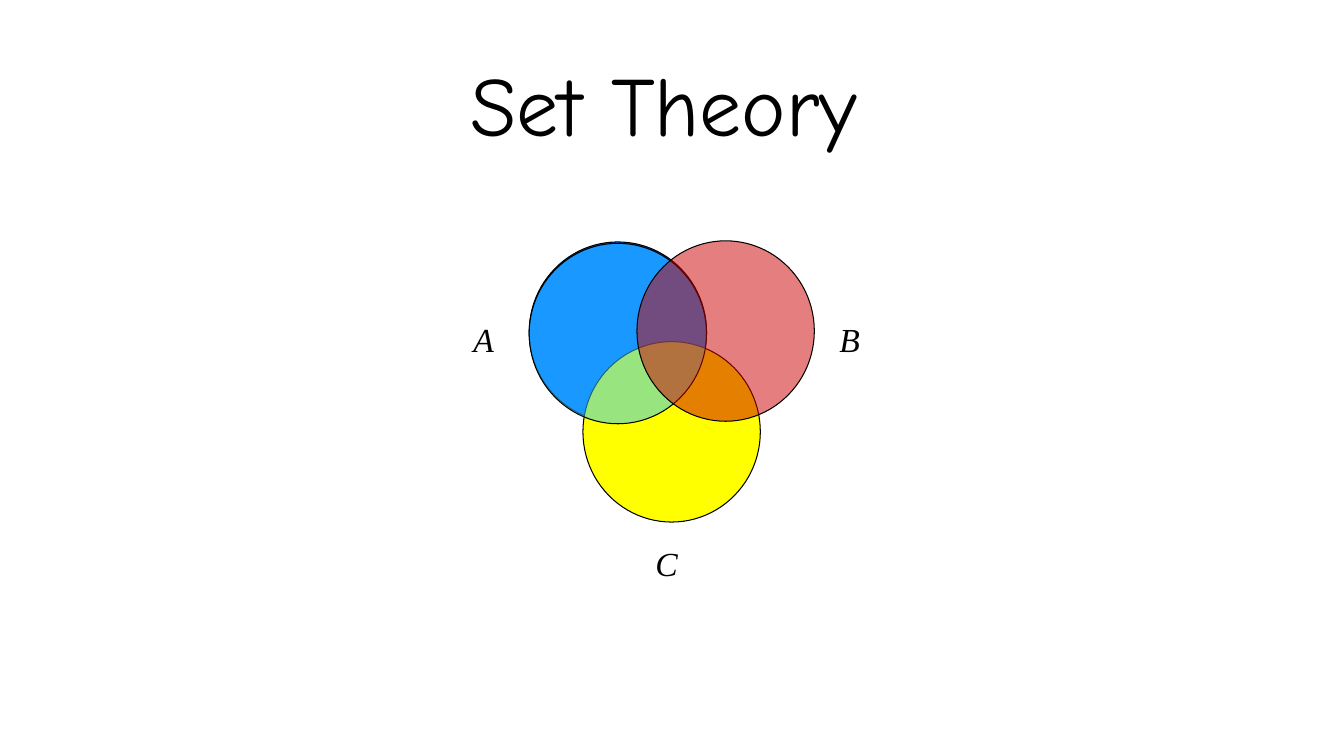
import lxml.etree
import pptx
import pptx.dml.color
import pptx.enum.shapes
import pptx.enum.text
import pptx.oxml.ns
import pptx.util

Pt = pptx.util.Pt
CIRCLE_WIDTH, CIRCLE_HEIGHT = 126.7, 128.9


def color(hex_value):
    """Turn a hex string into a colour."""
    return pptx.dml.color.RGBColor.from_string(hex_value)


def add_text(page, text, left, top, width, height, font_name, size):
    """Add a one-line black text box and return its text frame."""
    box = page.shapes.add_textbox(Pt(left), Pt(top), Pt(width), Pt(height))
    frame = box.text_frame
    frame.text = text
    font = frame.paragraphs[0].runs[0].font
    font.name = font_name
    font.size = Pt(size)
    font.color.rgb = color("000000")
    return frame


def add_title(page, text):
    """Add the centred title, resting on the bottom of its box."""
    frame = add_text(page, text, 138.2, 41.8, 672, 72, "Comic Neue", 60)
    frame.word_wrap = True
    frame.vertical_anchor = pptx.enum.text.MSO_ANCHOR.BOTTOM
    para = frame.paragraphs[0]
    para.alignment = pptx.enum.text.PP_ALIGN.CENTER
    para.line_spacing = 0.9


def add_set_label(page, text, left, top):
    """Add the italic letter that names a set."""
    frame = add_text(page, text, left, top, 29, 36, "Times New Roman", 24)
    frame.word_wrap = False
    frame.paragraphs[0].runs[0].font.italic = True


def add_circle(page, left, top, fill, opacity=100):
    """Add one outlined circle of the Venn diagram."""
    circle = page.shapes.add_shape(
        pptx.enum.shapes.MSO_SHAPE.OVAL,
        Pt(left), Pt(top), Pt(CIRCLE_WIDTH), Pt(CIRCLE_HEIGHT))
    circle.shadow.inherit = False
    circle.fill.solid()
    circle.fill.fore_color.rgb = color(fill)
    circle.line.color.rgb = color("000000")
    circle.line.width = Pt(0.75)
    if opacity < 100:
        fill_color = circle.element.spPr.xpath("a:solidFill/a:srgbClr")[0]
        alpha = lxml.etree.SubElement(fill_color, pptx.oxml.ns.qn("a:alpha"))
        alpha.set("val", str(opacity * 1000))


def main():
    """Build the set theory slide."""
    deck = pptx.Presentation()
    deck.slide_width, deck.slide_height = Pt(960), Pt(540)
    page = deck.slides.add_slide(deck.slide_layouts[6])
    add_title(page, "Set Theory")
    for name, left, top in (("A", 331, 224), ("B", 592.5, 224), ("C", 461, 384)):
        add_set_label(page, name, left, top)
    add_circle(page, 378, 172.8, "0066FF")
    add_circle(page, 416.4, 244, "FFFF00")
    add_circle(page, 378, 173.8, "33CCFF", 50)
    add_circle(page, 455, 172, "CC0000", 50)
    deck.save("out.pptx")


if __name__ == "__main__":
    main()
